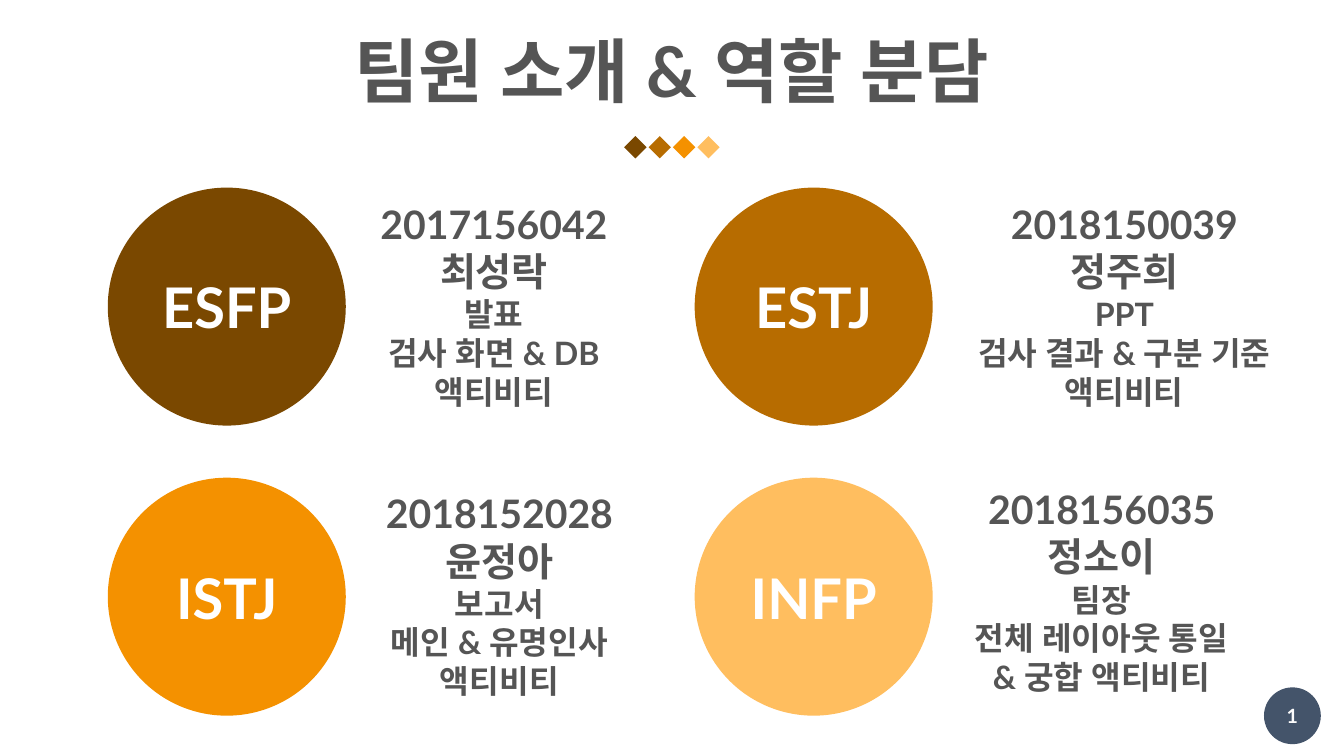
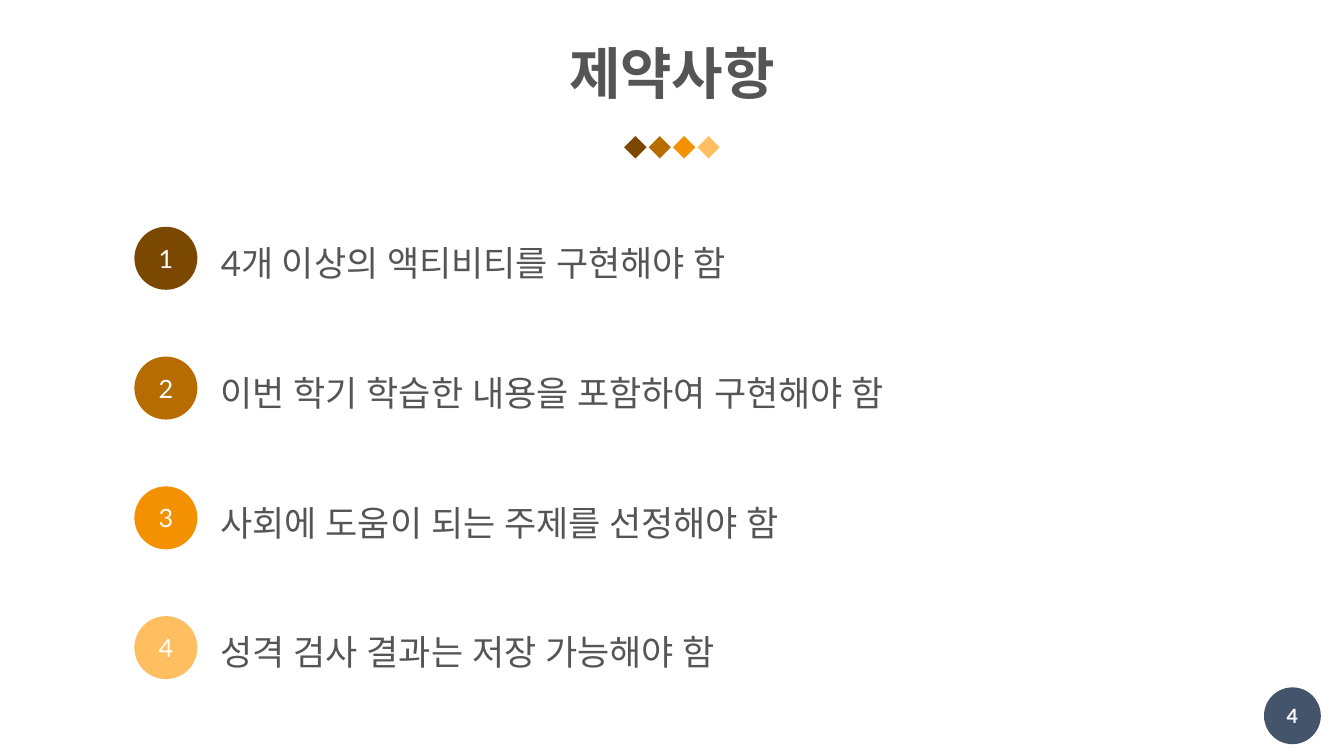
from dataclasses import dataclass
from typing import Any, NamedTuple

import pptx
import pptx.dml.color
import pptx.enum.shapes
import pptx.enum.text
import pptx.oxml.xmlchemy
import pptx.util

Pt = pptx.util.Pt
RGB = pptx.dml.color.RGBColor
Shape = pptx.enum.shapes.MSO_SHAPE
Align = pptx.enum.text.PP_ALIGN
Anchor = pptx.enum.text.MSO_ANCHOR
Fit = pptx.enum.text.MSO_AUTO_SIZE
Node = pptx.oxml.xmlchemy.OxmlElement


@dataclass(frozen=True)
class Theme:
    font: str = "Lato"
    ink: str = "555555"
    white: str = "FFFFFF"
    page: str = "FCFCFC"
    navy: str = "44546A"
    tones: tuple[str, ...] = ("7A4800", "B76C00", "F49100", "FFBE5F")
    team_size: float = 50
    head_size: float = 40
    type_size: float = 40
    name_size: float = 28
    role_size: float = 23
    list_size: float = 25
    mark_size: float = 18
    page_size: float = 14


class Box(NamedTuple):
    left: float
    top: float
    width: float
    height: float


class Member(NamedTuple):
    kind: str
    number: str
    name: str
    roles: tuple[str, ...]
    box: Box


THEME = Theme()
WIDTH, HEIGHT = 960, 540
TIGHT = dict.fromkeys(
    ("margin_left", "margin_right", "margin_top", "margin_bottom"), Pt(0))

MEMBERS = (
    Member("ESFP", "2017156042", "최성락",
           ("발표", "검사 화면 & DB", "액티비티"),
           Box(263.5, 139.7, 178.6, 158.4)),
    Member("ESTJ", "2018150039", "정주희",
           ("PPT", "검사 결과 & 구분 기준", "액티비티"),
           Box(680.4, 139.7, 245.5, 158.4)),
    Member("ISTJ", "2018152028", "윤정아",
           ("보고서", "메인 & 유명인사", "액티비티"),
           Box(263.5, 346.3, 186.5, 158.4)),
    Member("INFP", "2018156035", "정소이",
           ("팀장", "전체 레이아웃 통일", "& 궁합 액티비티"),
           Box(680.4, 343.4, 213.1, 164.9)),
)

LIMITS = (
    "4개 이상의 액티비티를 구현해야 함",
    "이번 학기 학습한 내용을 포함하여 구현해야 함",
    "사회에 도움이 되는 주제를 선정해야 함",
    "성격 검사 결과는 저장 가능해야 함",
)


def apply(target: Any, form: dict[str, Any]) -> None:
    for key, value in form.items():
        setattr(target, key, value)


def place(shape: Any, box: Box) -> None:
    apply(shape, {key: Pt(value) for key, value in box._asdict().items()})


def write(para: Any, text: str, size: float, color: str,
          bold: bool = False, **form: Any) -> None:
    """Add one run and set the paragraph's format from form."""
    run = para.add_run()
    run.text = text
    apply(run.font, {"name": THEME.font, "size": Pt(size), "bold": bold})
    run.font.color.rgb = RGB.from_string(color)
    asian = Node("a:ea")
    asian.set("typeface", THEME.font)
    run._r.get_or_add_rPr().append(asian)
    apply(para, form)


def draw(slide: Any, kind: Any, box: Box, color: str) -> Any:
    """Add a flat shape without a line."""
    shape = slide.shapes.add_shape(kind, *map(Pt, box))
    shape.shadow.inherit = False
    shape.fill.solid()
    shape.fill.fore_color.rgb = RGB.from_string(color)
    shape.line.fill.background()
    return shape


def badge(slide: Any, box: Box, fill: str, text: str, size: float,
          color: str = THEME.white, bold: bool = False) -> None:
    """Add a circle with centred text."""
    frame = draw(slide, Shape.OVAL, box, fill).text_frame
    apply(frame, {**TIGHT, "vertical_anchor": Anchor.MIDDLE,
                  "word_wrap": False})
    write(frame.paragraphs[0], text, size, color, bold,
          alignment=Align.CENTER)


def start(deck: Any, layout: int, title: str, size: float, top: float,
          page: int) -> Any:
    """Add a slide with its title, diamond row and page badge."""
    slide = deck.slides.add_slide(deck.slide_layouts[layout])
    head = slide.shapes.title
    place(head, Box(141, top, 678, 63.4))
    apply(head.text_frame, {"vertical_anchor": Anchor.MIDDLE,
                            "auto_size": Fit.NONE})
    write(head.text_frame.paragraphs[0], title, size, THEME.ink, True,
          alignment=Align.CENTER, line_spacing=0.9)
    side, step = 16, 17.4
    left = (WIDTH - side - step * (len(THEME.tones) - 1)) / 2
    for i, tone in enumerate(THEME.tones):
        draw(slide, Shape.DIAMOND, Box(left + i * step, 97.2, side, side),
             tone)
    badge(slide, Box(902.9, 491, 40.6, 40.6), THEME.navy, str(page),
          THEME.page_size, THEME.page, True)
    return slide


def team(deck: Any) -> None:
    slide = start(deck, 5, "팀원 소개 & 역할 분담", THEME.team_size, 21.6, 1)
    for i, (member, tone) in enumerate(zip(MEMBERS, THEME.tones)):
        row, col = divmod(i, 2)
        badge(slide, Box(77 + 419.2 * col, 134 + 207.2 * row, 170, 170),
              tone, member.kind, THEME.type_size, bold=True)
        frame = slide.shapes.add_textbox(*map(Pt, member.box)).text_frame
        apply(frame, {"word_wrap": False,
                      "auto_size": Fit.SHAPE_TO_FIT_TEXT})
        lines = [(text, THEME.name_size)
                 for text in (member.number, member.name)]
        lines += [(text, THEME.role_size) for text in member.roles]
        for j, (text, size) in enumerate(lines):
            para = frame.add_paragraph() if j else frame.paragraphs[0]
            write(para, text, size, THEME.ink, True, alignment=Align.CENTER)


def limits(deck: Any) -> None:
    slide = start(deck, 1, "제약사항", THEME.head_size, 23, 4)
    step, line, side, top = 92.7, 36, 45, 162
    body = slide.placeholders[1]
    place(body, Box(157.7, top + (side - line) / 2, 640,
                    step * (len(LIMITS) - 1) + line))
    frame = body.text_frame
    apply(frame, {**TIGHT, "vertical_anchor": Anchor.TOP,
                  "word_wrap": True, "auto_size": Fit.NONE})
    for i, (text, tone) in enumerate(zip(LIMITS, THEME.tones)):
        para = frame.add_paragraph() if i else frame.paragraphs[0]
        write(para, text, THEME.list_size, THEME.ink, alignment=Align.LEFT,
              line_spacing=Pt(line), space_before=Pt(0),
              space_after=Pt(step - line))
        props = para._p.get_or_add_pPr()
        props.set("marL", "0")
        props.set("indent", "0")
        props.append(Node("a:buNone"))
        badge(slide, Box(96, top + i * step, side, side), tone, str(i + 1),
              THEME.mark_size)


def main() -> None:
    deck = pptx.Presentation()
    apply(deck, {"slide_width": Pt(WIDTH), "slide_height": Pt(HEIGHT)})
    team(deck)
    limits(deck)
    deck.save("out.pptx")


if __name__ == "__main__":
    main()
